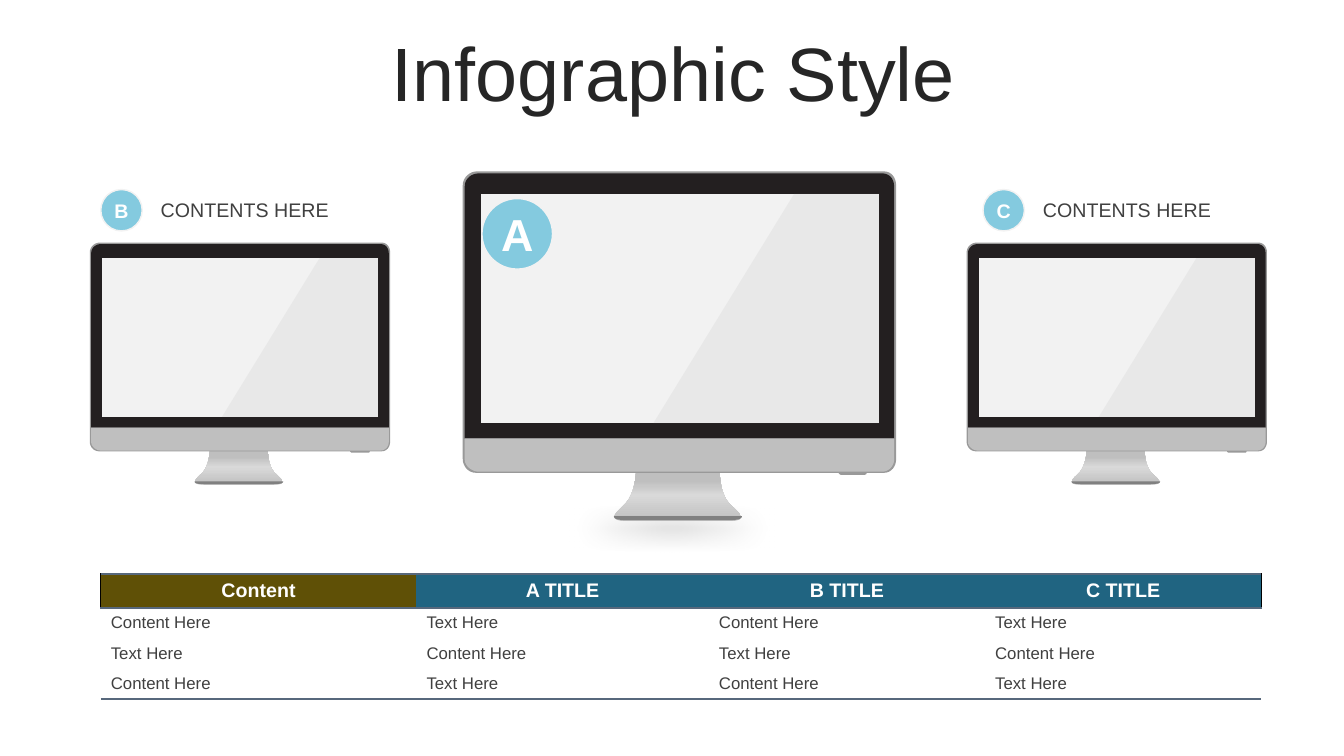
from lxml.etree import SubElement
from pptx import Presentation
from pptx.dml.color import RGBColor as RGB
from pptx.enum.shapes import MSO_SHAPE as SHAPE
from pptx.enum.text import MSO_ANCHOR as ANCHOR, PP_ALIGN as ALIGN
from pptx.oxml.ns import qn
from pptx.util import Inches, Pt

WHITE, INK, TEXT = RGB(255, 255, 255), RGB(0x26, 0x26, 0x26), RGB(0x40, 0x40, 0x40)
SKY, PALE = RGB(0x84, 0xCA, 0xDF), RGB(0xF2, 0xF2, 0xF2)
EDGE, BEZEL = RGB(0x99, 0x99, 0x99), RGB(0x23, 0x1F, 0x20)
SILVER, SHINE, DARK = RGB(0xBF, 0xBF, 0xBF), RGB(0xD9, 0xD9, 0xD9), RGB(0x80, 0x80, 0x80)
OLIVE, TEAL = RGB(0x5F, 0x50, 0x06), RGB(0x20, 0x64, 0x81)
RULE, BLACK = RGB(0x57, 0x68, 0x7C), RGB(0, 0, 0)

# The slide is a grid of 100 columns by 100 rows
SLIDE_W, SLIDE_H = Inches(13.33), Inches(7.5)
COL, ROW = SLIDE_W / 100, SLIDE_H / 100

# Monitor outlines on a 430 x 347 grid: pairs are corners, sixes are curves
MONITOR_W, MONITOR_H = 430, 347
STAND_STOPS = [(0, SILVER), (53, SHINE), (83, SILVER), (100, SILVER)]
MONITOR = [
    # stand
    (STAND_STOPS, 100, [(264, 329), (255, 319, 255, 299, 255, 299), (172, 299),
                        (172, 299, 171, 319, 162, 329), (153, 338, 140, 347, 164, 347),
                        (263, 347), (287, 347, 273, 338, 264, 329)]),
    # shell
    (EDGE, 100, [(418, 0), (14, 0), (7, 0, 0, 6, 0, 14), (0, 285), (0, 293, 6, 299, 13, 299),
                 (418, 299), (425, 299, 430, 293, 430, 285), (430, 14),
                 (430, 6, 425, 0, 418, 0)]),
    # button
    (EDGE, 100, [(373, 298), (373, 298, 372, 300, 375, 301), (399, 301),
                 (399, 301, 401, 301, 401, 298)]),
    # bezel
    (BEZEL, 100, [(416, 2), (16, 2), (9, 2, 2, 7, 2, 15), (2, 265), (428, 265), (428, 15),
                  (428, 7, 423, 2, 416, 2)]),
    # foot
    (DARK, 100, [(150, 342), (150, 345, 154, 346, 164, 346), (263, 346),
                 (273, 346, 277, 345, 277, 342)]),
    # chin
    (SILVER, 100, [(2, 286), (2, 292, 9, 298, 16, 298), (416, 298),
                   (423, 298, 428, 292, 428, 286), (428, 265), (2, 265)]),
    # screen and glare
    (PALE, 100, [(18, 22), (413, 22), (413, 250), (18, 250)]),
    (EDGE, 10, [(329, 22), (413, 22), (413, 250), (189, 250)]),
]


def emu(x, y, w, h):
    return round(x * COL), round(y * ROW), round(w * COL), round(h * ROW)


def flatten(outline, steps=8):
    pts = [outline[0]]
    for seg in outline[1:]:
        if len(seg) == 2:
            pts.append(seg)
            continue
        (ax, ay), (bx, by, cx, cy, dx, dy) = pts[-1], seg
        for i in range(1, steps + 1):
            t = i / steps
            k = ((1 - t) ** 3, 3 * t * (1 - t) ** 2, 3 * t * t * (1 - t), t ** 3)
            pts.append((sum(a * b for a, b in zip(k, (ax, bx, cx, dx))),
                        sum(a * b for a, b in zip(k, (ay, by, cy, dy)))))
    return pts


def add_color(parent, color, opacity=100):
    clr = SubElement(parent, qn("a:srgbClr"), val=str(color))
    if opacity < 100:
        SubElement(clr, qn("a:alpha"), val=str(opacity * 1000))


def paint(sp, fill, opacity=100):
    sp.shadow.inherit = False
    sp.line.fill.background()
    if isinstance(fill, list):
        grad = SubElement(sp._element.spPr, qn("a:gradFill"))
        stops = SubElement(grad, qn("a:gsLst"))
        for pos, color in fill:
            add_color(SubElement(stops, qn("a:gs"), pos=str(pos * 1000)), color)
        SubElement(grad, qn("a:lin"), ang="16200000", scaled="0")
        sp._element.spPr.insert(2, grad)
        return
    sp.fill.solid()
    sp.fill.fore_color.rgb = fill
    if opacity < 100:
        clr = sp._element.spPr.find(qn("a:solidFill"))[0]
        SubElement(clr, qn("a:alpha"), val=str(opacity * 1000))


def write(tf, text, color, size, align=ALIGN.LEFT, bold=False, spacing=None):
    tf.vertical_anchor = ANCHOR.MIDDLE
    p = tf.paragraphs[0]
    p.alignment, p.line_spacing = align, spacing
    r = p.add_run()
    r.text = text
    for name, value in {"name": "Arial", "size": Pt(size), "bold": bold}.items():
        setattr(r.font, name, value)
    r.font.color.rgb = color


def text_box(s, box, *args, **fmt):
    tf = s.shapes.add_textbox(*emu(*box)).text_frame
    tf.word_wrap = True
    write(tf, *args, spacing=0.9, **fmt)


def badge(s, x, y, w, letter, size):
    left, top, side, _ = emu(x, y, w, 0)
    sp = s.shapes.add_shape(SHAPE.OVAL, left, top, side, side)
    paint(sp, SKY)
    sp.line.color.rgb, sp.line.width = PALE, Pt(1)
    tf = sp.text_frame
    for side_name in ("left", "right", "top", "bottom"):
        setattr(tf, f"margin_{side_name}", 0)
    write(tf, letter, WHITE, size, ALIGN.CENTER, True)


def monitor(s, x, y, w, h):
    left, top, width, height = emu(x, y, w, h)
    for fill, opacity, outline in MONITOR:
        pts = [(round(left + px * width / MONITOR_W), round(top + py * height / MONITOR_H))
               for px, py in flatten(outline)]
        fb = s.shapes.build_freeform(*pts[0])
        fb.add_line_segments(pts[1:], close=True)
        paint(fb.convert_to_shape(), fill, opacity)


def main_panel(s, x, y, w, h):
    # Soft shadow below the stand
    sp = s.shapes.add_shape(SHAPE.OVAL, *emu(x - 2.62, y + 0.95 * h, w + 4.13, 6.53))
    paint(sp, DARK)
    effects = sp._element.spPr.find(qn("a:effectLst"))
    SubElement(effects, qn("a:softEdge"), rad=str(Pt(16)))
    monitor(s, x, y, w, h)
    badge(s, x + 1.43, y + 3.6, 5.25, "A", 32)


def side_panel(s, x, y, w, h, letter, indent):
    monitor(s, x, y + 0.18 * h, w, 0.82 * h)
    badge(s, x + indent, y, 3.08, letter, 14)
    text_box(s, (x + indent + 3.72, y + 0.26, 15.2, 5.2), "CONTENTS HERE", TEXT, 14)


def set_borders(cell, borders):
    tcPr = cell._tc.get_or_add_tcPr()
    for side in "LRTB":
        color, width = borders.get(side, (None, 0))
        ln = SubElement(tcPr, qn(f"a:ln{side}"), w=str(Pt(width)))
        if color is None:
            SubElement(ln, qn("a:noFill"))
        else:
            add_color(SubElement(ln, qn("a:solidFill")), color)


def content_table(s, x, y, w, h):
    a, b = "Content Here", "Text Here"
    rows = [["Content", "A TITLE", "B TITLE", "C TITLE"], [a, b, a, b], [b, a, b, a], [a, b, a, b]]
    tbl = s.shapes.add_table(4, 4, *emu(x, y, w, h)).table
    tbl.first_row = tbl.horz_banding = False
    tbl._tbl.tblPr.find(qn("a:tableStyleId")).text = "{2D5ABB26-0587-4C30-8999-92F81FD0307C}"
    for column, share in zip(tbl.columns, (0.272, 0.252, 0.238, 0.238)):
        column.width = round(w * COL * share)
    for i, row in enumerate(rows):
        tbl.rows[i].height = Inches(0.32 if i == 0 else 0.29)
        for j, text in enumerate(row):
            cell, head, borders = tbl.cell(i, j), i == 0, {}
            if i < 2:
                borders["T"] = (RULE, 1.5)
            if i in (0, 3):
                borders["B"] = (RULE, 1.5)
            if head and j in (0, 3):
                borders["L" if j == 0 else "R"] = (BLACK, 1)
            set_borders(cell, borders)
            cell.fill.solid()
            cell.fill.fore_color.rgb = (OLIVE if j == 0 else TEAL) if head else WHITE
            cell.vertical_anchor = ANCHOR.MIDDLE
            if head:
                write(cell.text_frame, text, WHITE, 14, ALIGN.CENTER, True)
            else:
                write(cell.text_frame, text, TEXT, 12)


def main():
    prs = Presentation()
    prs.slide_width, prs.slide_height = SLIDE_W, SLIDE_H
    s = prs.slides.add_slide(prs.slide_layouts[6])
    text_box(s, (2.63, 4.93, 94.97, 10.53), "Infographic Style", INK, 54, align=ALIGN.CENTER)
    main_panel(s, 34.43, 22.67, 32.25, 46.27)
    for x, letter, indent in ((6.68, "B", 0.82), (71.92, "C", 1.22)):
        side_panel(s, x, 25.07, 22.35, 39.06, letter, indent)
    content_table(s, 7.5, 75.95, 86.35, 15.87)
    prs.save("out.pptx")


if __name__ == "__main__":
    main()
